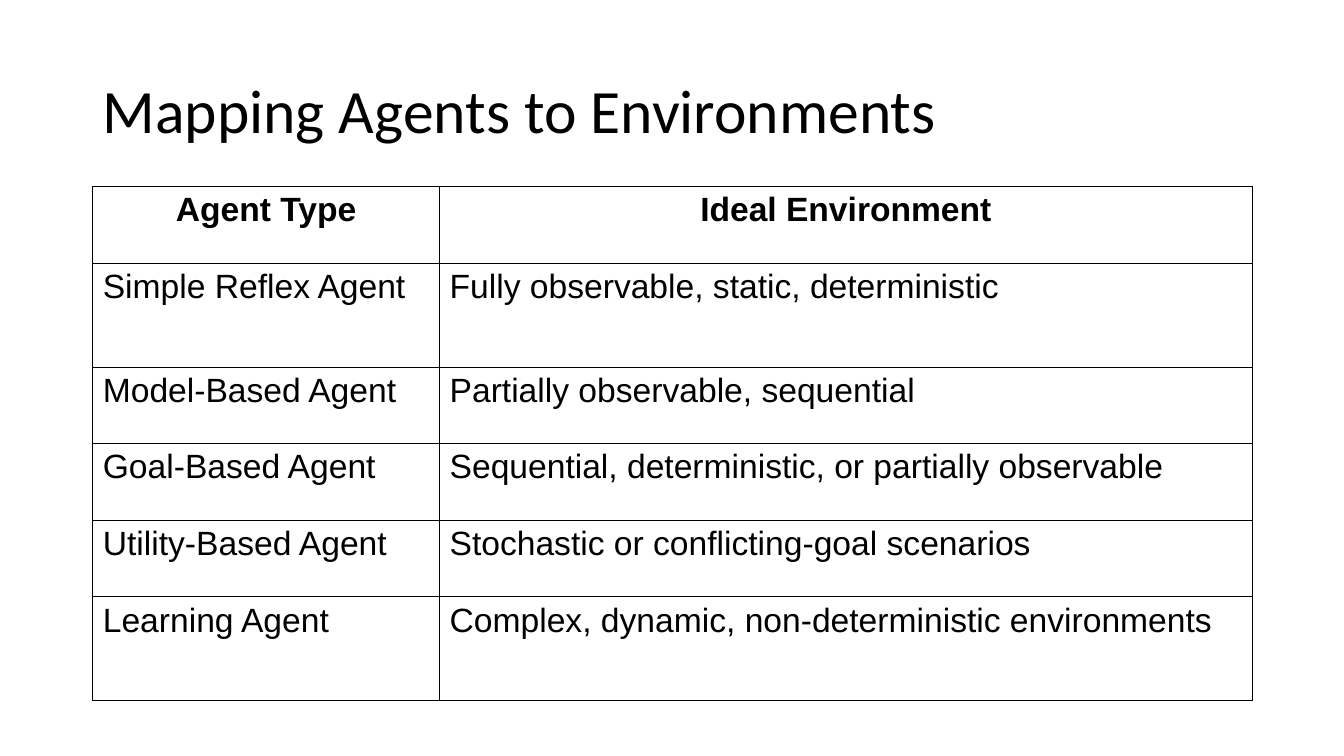
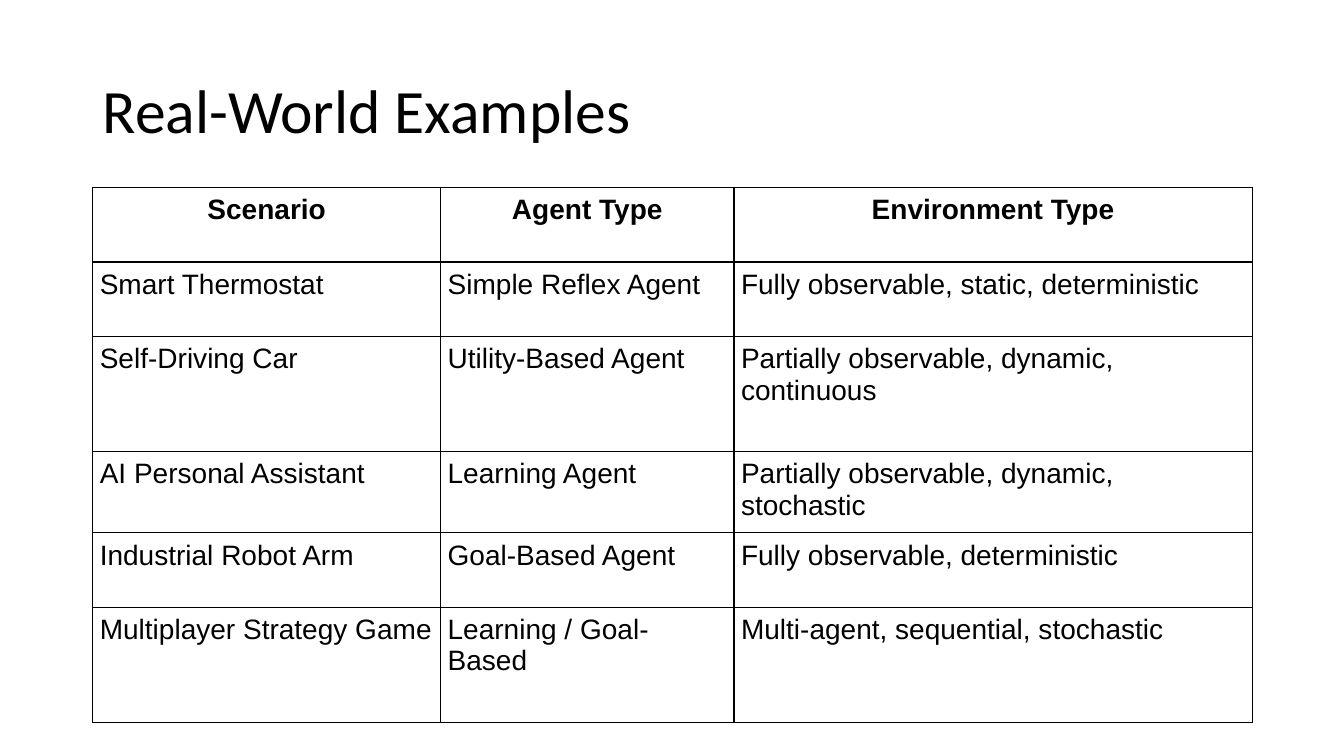
"""Build two slides that match agent types with environments."""
from lxml.etree import SubElement
from pptx import Presentation
from pptx.dml.color import RGBColor
from pptx.enum.text import MSO_ANCHOR, PP_ALIGN
from pptx.oxml.ns import qn
from pptx.util import Pt

PX = 9144
BLACK = RGBColor(0x00, 0x00, 0x00)
LEFT, WIDTH = 92, 1150
TITLE_TOP, TITLE_HEIGHT = 40, 145
TITLE_FONT, TABLE_FONT = "Calibri", "Arial"

SLIDES = [
    {
        "title": "Mapping Agents to Environments",
        "top": 185, "columns": [344, 806], "heights": [76, 103, 76, 76, 76, 103],
        "size": 24, "border": 0.5, "inset": (10, 5), "unspaced": {5},
        "rows": [
            ("Agent Type", "Ideal Environment"),
            ("Simple Reflex Agent", "Fully observable, static, deterministic"),
            ("Model-Based Agent", "Partially observable, sequential"),
            ("Goal-Based Agent", "Sequential, deterministic, or partially observable"),
            ("Utility-Based Agent", "Stochastic or conflicting-goal scenarios"),
            ("Learning Agent", "Complex, dynamic, non-deterministic environments"),
        ],
    },
    {
        "title": "Real-World Examples",
        "top": 186, "columns": [345, 291, 514], "heights": [74, 74, 114, 74, 74, 114],
        "size": 20, "border": 1, "inset": (7, 7), "unspaced": set(),
        "rows": [
            ("Scenario", "Agent Type", "Environment Type"),
            ("Smart Thermostat", "Simple Reflex Agent",
             "Fully observable, static, deterministic"),
            ("Self-Driving Car", "Utility-Based Agent",
             "Partially observable, dynamic, continuous"),
            ("AI Personal Assistant", "Learning Agent",
             "Partially observable, dynamic, stochastic"),
            ("Industrial Robot Arm", "Goal-Based Agent",
             "Fully observable, deterministic"),
            ("Multiplayer Strategy Game", "Learning / Goal-Based",
             "Multi-agent, sequential, stochastic"),
        ],
    },
]


def write(paragraph, text, font, size, bold=False):
    run = paragraph.add_run()
    run.text = text
    run.font.name = font
    run.font.size = Pt(size)
    run.font.bold = bold
    run.font.color.rgb = BLACK


def add_title(slide, text):
    box = slide.shapes.add_textbox(LEFT * PX, TITLE_TOP * PX, WIDTH * PX, TITLE_HEIGHT * PX)
    frame = box.text_frame
    frame.word_wrap = True
    frame.vertical_anchor = MSO_ANCHOR.MIDDLE
    heading = frame.paragraphs[0]
    heading.line_spacing = 0.9
    write(heading, text, TITLE_FONT, 44)


def set_borders(cell, points):
    properties = cell._tc.get_or_add_tcPr()
    for side in ("a:lnL", "a:lnR", "a:lnT", "a:lnB"):
        line = SubElement(properties, qn(side), w=str(Pt(points)))
        fill = SubElement(line, qn("a:solidFill"))
        SubElement(fill, qn("a:srgbClr"), val=str(BLACK))


def fill_cell(cell, text, content, row_index):
    header = row_index == 0
    across, down = content["inset"]
    cell.margin_left = cell.margin_right = across * PX
    cell.margin_top = cell.margin_bottom = down * PX
    set_borders(cell, content["border"])
    cell.fill.background()
    paragraph = cell.text_frame.paragraphs[0]
    paragraph.alignment = PP_ALIGN.CENTER if header else PP_ALIGN.LEFT
    if row_index not in content["unspaced"]:
        paragraph.space_before = paragraph.space_after = Pt(4)
    write(paragraph, text, TABLE_FONT, content["size"], bold=header)


def add_grid(slide, content):
    rows, columns, heights = content["rows"], content["columns"], content["heights"]
    grid = slide.shapes.add_table(len(rows), len(columns), LEFT * PX, content["top"] * PX,
                                  sum(columns) * PX, sum(heights) * PX).table
    grid.first_row = grid.horz_banding = False
    for column, width in zip(grid.columns, columns):
        column.width = width * PX
    for row_index, (row, height, texts) in enumerate(zip(grid.rows, heights, rows)):
        row.height = height * PX
        for cell, text in zip(row.cells, texts):
            fill_cell(cell, text, content, row_index)


def main():
    deck = Presentation()
    deck.slide_width, deck.slide_height = 1333 * PX, 750 * PX
    for content in SLIDES:
        slide = deck.slides.add_slide(deck.slide_layouts[6])
        add_title(slide, content["title"])
        add_grid(slide, content)
    deck.save("out.pptx")


if __name__ == "__main__":
    main()
